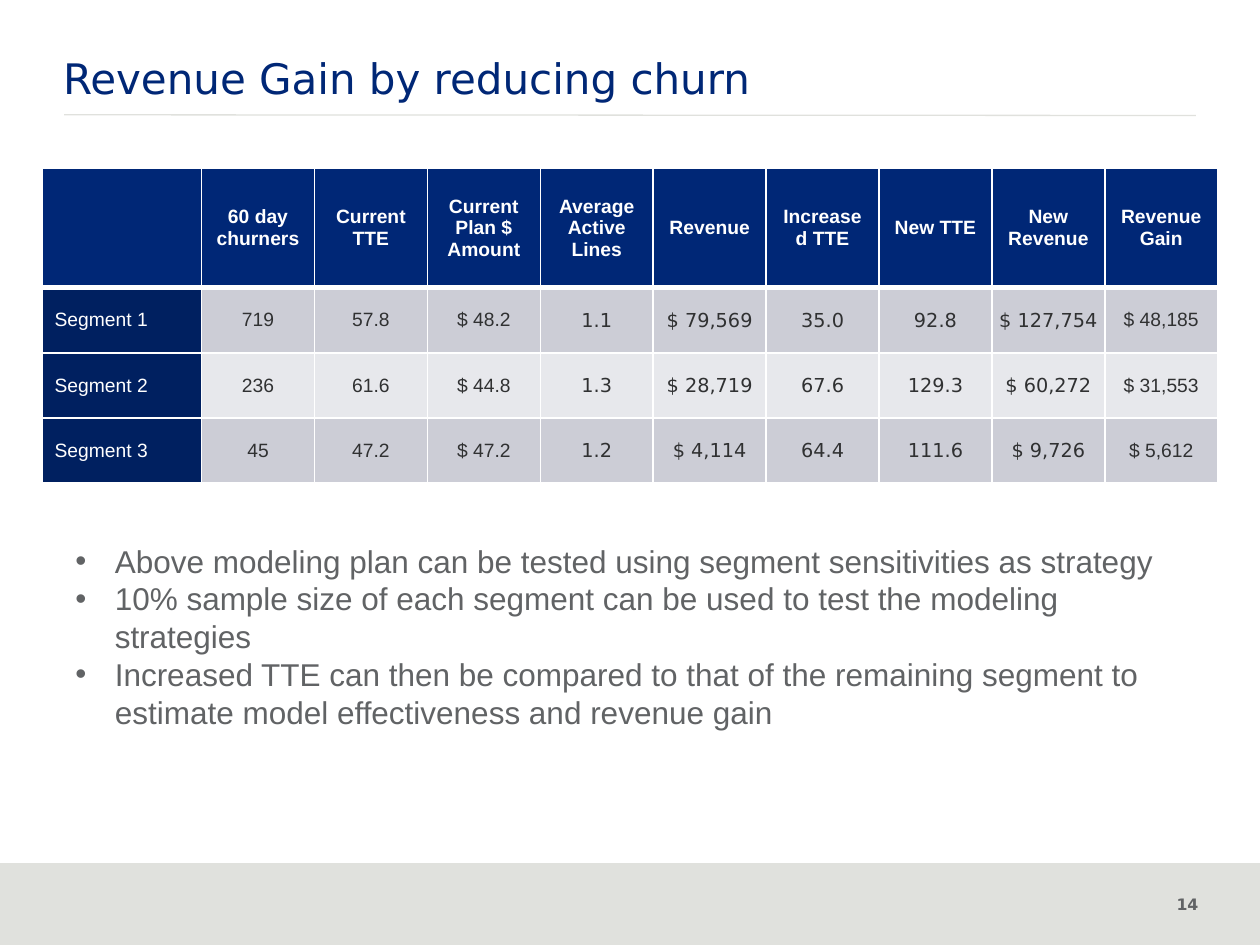
from lxml import etree
from pptx import Presentation
from pptx.dml.color import RGBColor
from pptx.enum import shapes, text
from pptx.oxml import ns
from pptx.util import Pt

TITLE = "Revenue Gain by reducing churn"
PAGE = "14"
HEADINGS = ["", "60 day churners", "Current TTE", "Current Plan $ Amount",
            "Average Active Lines", "Revenue", "Increased TTE", "New TTE",
            "New Revenue", "Revenue Gain"]
SEGMENTS = [
    ["Segment 1", "719", "57.8", "$ 48.2", "1.1", "$ 79,569", "35.0", "92.8",
     "$ 127,754", "$ 48,185"],
    ["Segment 2", "236", "61.6", "$ 44.8", "1.3", "$ 28,719", "67.6", "129.3",
     "$ 60,272", "$ 31,553"],
    ["Segment 3", "45", "47.2", "$ 47.2", "1.2", "$ 4,114", "64.4", "111.6",
     "$ 9,726", "$ 5,612"],
]
POINTS = [
    "Above modeling plan can be tested using segment sensitivities as strategy",
    "10% sample size of each segment can be used to test the modeling strategies",
    "Increased TTE can then be compared to that of the remaining segment to "
    "estimate model effectiveness and revenue gain",
]
COLORS = {"navy": "002776", "segment": "002060", "odd": "CCCDD6", "even": "E7E8EC",
          "white": "FFFFFF", "figure": "303132", "gray": "616365", "footer": "E0E1DD"}
SANS, ARIAL = "DejaVu Sans", "Arial"
COMPUTED = range(4, 9)
COLUMN_WIDTHS = [91.2] + [64.54] * 9
ROW_HEIGHTS = [68.4] + [37.2] * 3
BULLET_INDENT = 22.5


def rgb(name):
    return RGBColor.from_string(COLORS[name])


def set_font(paragraph, size, family, color, bold=False):
    font = paragraph.font
    font.size, font.name, font.bold = Pt(size), family, bold
    font.color.rgb = rgb(color)


def add_text_frame(slide, left, top, width, height):
    frame = slide.shapes.add_textbox(Pt(left), Pt(top), Pt(width), Pt(height)).text_frame
    frame.word_wrap = True
    return frame


def set_margins(holder, margin, bottom):
    holder.margin_left = holder.margin_right = holder.margin_top = Pt(margin)
    holder.margin_bottom = Pt(bottom)


def add_borders(cell, bottom_width, top_width):
    properties = cell._tc.get_or_add_tcPr()
    for side, width in zip("LRTB", (1, 1, top_width, bottom_width)):
        line = etree.SubElement(properties, ns.qn(f"a:ln{side}"), w=str(Pt(width)))
        fill = etree.SubElement(line, ns.qn("a:solidFill"))
        etree.SubElement(fill, ns.qn("a:srgbClr"), val=COLORS["white"])


def fill_cell(cell, content, row, column):
    add_borders(cell, 3 if row == 0 else 1, 3 if row == 1 else 1)
    if row == 0:
        fill, color = "navy", "white"
    elif column == 0:
        fill, color = "segment", "white"
    else:
        fill, color = ("odd" if row % 2 else "even"), "figure"
    cell.fill.solid()
    cell.fill.fore_color.rgb = rgb(fill)
    cell.vertical_anchor = text.MSO_ANCHOR.MIDDLE
    computed = row > 0 and column in COMPUTED
    if computed:
        set_margins(cell, 0.72, 0)
    cell.text = content
    paragraph = cell.text_frame.paragraphs[0]
    if row == 0 or column > 0:
        paragraph.alignment = text.PP_ALIGN.CENTER
    set_font(paragraph, 11, SANS if computed else ARIAL, color, row == 0)


def add_segment_table(slide):
    rows = [HEADINGS] + SEGMENTS
    table = slide.shapes.add_table(
        len(rows), len(HEADINGS), Pt(24), Pt(96),
        Pt(sum(COLUMN_WIDTHS)), Pt(sum(ROW_HEIGHTS))).table
    for column, width in zip(table.columns, COLUMN_WIDTHS):
        column.width = Pt(width)
    for row, height in zip(table.rows, ROW_HEIGHTS):
        row.height = Pt(height)
    for r, contents in enumerate(rows):
        for c, content in enumerate(contents):
            fill_cell(table.cell(r, c), content, r, c)


def add_points(slide):
    frame = add_text_frame(slide, 36, 306, 636, 138)
    for i, point in enumerate(POINTS):
        paragraph = frame.paragraphs[0] if i == 0 else frame.add_paragraph()
        paragraph.text = point
        properties = paragraph._p.get_or_add_pPr()
        properties.set("marL", str(Pt(BULLET_INDENT)))
        properties.set("indent", str(-Pt(BULLET_INDENT)))
        etree.SubElement(properties, ns.qn("a:buFont"), typeface=ARIAL)
        etree.SubElement(properties, ns.qn("a:buChar"), char="•")
        set_font(paragraph, 18, ARIAL, "gray")


def add_frame(slide):
    footer = slide.shapes.add_shape(
        shapes.MSO_SHAPE.RECTANGLE, Pt(0), Pt(493.2), Pt(720), Pt(46.8))
    footer.shadow.inherit = False
    footer.fill.solid()
    footer.fill.fore_color.rgb = rgb("footer")
    footer.line.fill.background()

    page = add_text_frame(slide, 647.3, 507.6, 44.6, 28.8).paragraphs[0]
    page.text = PAGE
    page.alignment = text.PP_ALIGN.RIGHT
    set_font(page, 9, SANS, "gray", True)

    rule = slide.shapes.add_connector(
        shapes.MSO_CONNECTOR.STRAIGHT, Pt(36.7), Pt(65.6), Pt(683.3), Pt(66))
    rule.line.color.rgb = rgb("footer")
    rule.line.width = Pt(0.75)
    etree.SubElement(rule._element.spPr, ns.qn("a:effectLst"))

    title = add_text_frame(slide, 36, 30.2, 647.3, 49.7)
    set_margins(title, 0, 0)
    title.text = TITLE
    set_font(title.paragraphs[0], 24, SANS, "navy")


def main():
    deck = Presentation()
    deck.slide_width, deck.slide_height = Pt(720), Pt(540)
    slide = deck.slides.add_slide(deck.slide_layouts[6])
    add_frame(slide)
    add_segment_table(slide)
    add_points(slide)
    deck.save("out.pptx")


if __name__ == "__main__":
    main()
